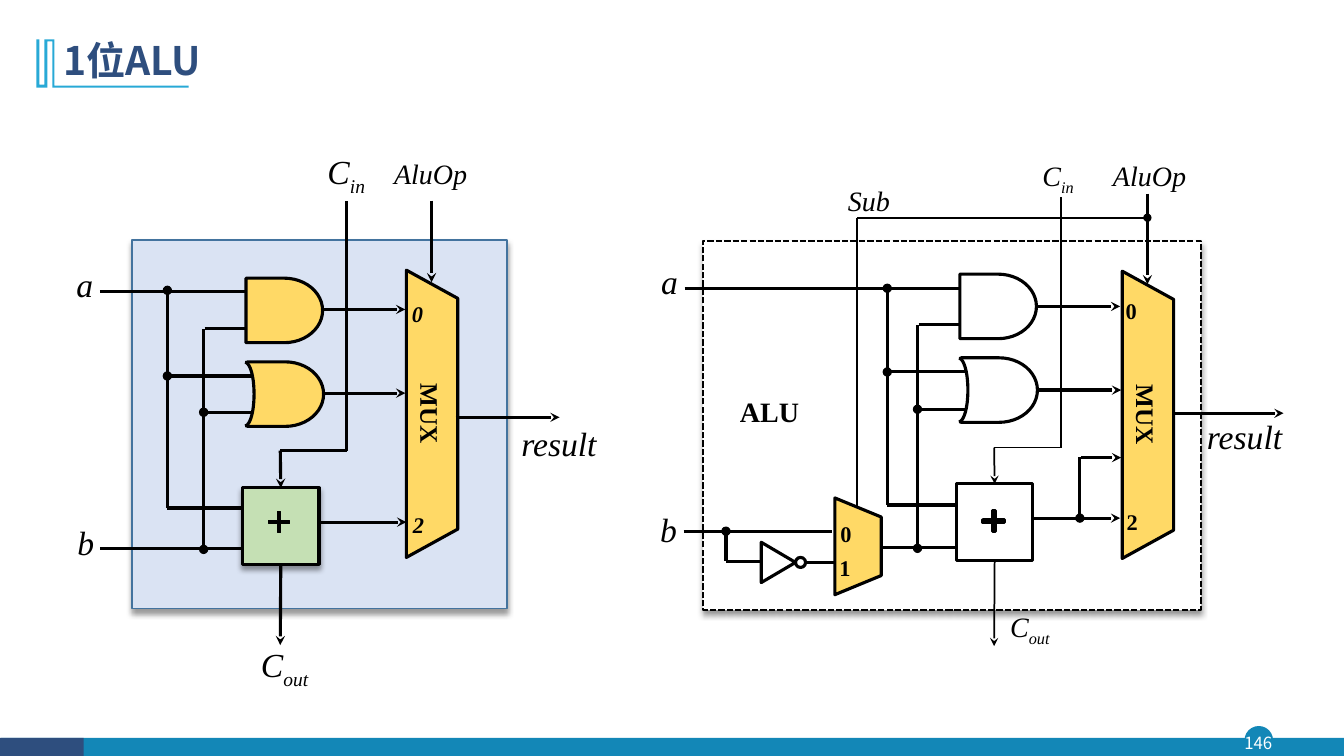
import math
import pptx
import pptx.dml.color
import pptx.enum.dml
import pptx.enum.shapes
import pptx.enum.text
import pptx.oxml.ns
import pptx.util
from lxml import etree
from pptx.util import Inches

COLORS = {
    "black": "000000", "white": "FFFFFF", "navy": "2E4E7E", "teal": "1387B7",
    "cyan": "28A9D6", "pale": "DAE3F3", "steel": "43739E", "gold": "FFD966",
    "green": "C5E0B4",
}
SERIF, SANS = "Times New Roman", "Noto Sans CJK SC"
KIND = pptx.enum.shapes.MSO_SHAPE
ALIGN = pptx.enum.text.PP_ALIGN
ANCHOR = pptx.enum.text.MSO_ANCHOR
qn = pptx.oxml.ns.qn


def paint(shape, fill, line, width, shadow=False):
    shape.shadow.inherit = False
    if fill:
        shape.fill.solid()
        shape.fill.fore_color.rgb = pptx.dml.color.RGBColor.from_string(COLORS[fill])
    else:
        shape.fill.background()
    if line:
        shape.line.color.rgb = pptx.dml.color.RGBColor.from_string(COLORS[line])
        shape.line.width = pptx.util.Pt(width)
    else:
        shape.line.fill.background()
    if shadow:
        effects = shape._element.spPr.find(qn("a:effectLst"))
        outer = etree.SubElement(effects, qn("a:outerShdw"), blurRad="50800",
                                 dist="38100", dir="5400000", algn="t", rotWithShape="0")
        tint = etree.SubElement(outer, qn("a:srgbClr"), val=COLORS["black"])
        etree.SubElement(tint, qn("a:alpha"), val="40000")


def write(box, text, size, color="black", face=SERIF, bold=False, italic=False,
          align=ALIGN.LEFT, subscript=""):
    para = box.text_frame.paragraphs[0]
    para.text = text
    para.alignment = align
    if subscript:
        para.add_run().text = subscript
    for span in para.runs:
        span.font.name = face
        span.font.size = pptx.util.Pt(size)
        span.font.bold = bold
        span.font.italic = italic
        span.font.color.rgb = pptx.dml.color.RGBColor.from_string(COLORS[color])
        etree.SubElement(span.font._element, qn("a:ea"), typeface=face)
    if subscript:
        para.runs[1].font._element.set("baseline", "-25000")
    return para


deck = pptx.Presentation()
deck.slide_width, deck.slide_height = Inches(13.33), Inches(7.5)
page = deck.slides.add_slide(deck.slide_layouts[5])
shapes = page.shapes

title = shapes.title
title.left, title.top, title.width, title.height = map(Inches, (0.53, 0.28, 11.5, 0.68))
title.text_frame.auto_size = pptx.enum.text.MSO_AUTO_SIZE.NONE
title.text_frame.vertical_anchor = ANCHOR.MIDDLE
write(title, "1位ALU", 28, "navy", SANS, bold=True).line_spacing = 0.9

for kind, bounds, fill, line in [
    (KIND.OVAL, (12.35, 7.21, 0.27, 0.27), "teal", "teal"),
    (KIND.RECTANGLE, (0.01, 7.32, 13.32, 0.19), "teal", None),
    (KIND.RECTANGLE, (0, 7.32, 0.83, 0.19), "navy", None),
]:
    paint(shapes.add_shape(kind, *map(Inches, bounds)), fill, line, 1)

number = shapes.add_textbox(*map(Inches, (12.32, 7.21, 0.32, 0.31)))
frame = number.text_frame
frame.margin_left = frame.margin_right = frame.margin_top = frame.margin_bottom = 0
frame.vertical_anchor = ANCHOR.MIDDLE
write(number, "146", 12, "white", SANS, align=ALIGN.CENTER)

left_panel = shapes.add_shape(KIND.RECTANGLE, *map(Inches, (1.31, 2.38, 3.72, 3.66)))
paint(left_panel, "pale", "steel", 1, shadow=True)
right_panel = shapes.add_shape(KIND.RECTANGLE, *map(Inches, (6.97, 2.39, 4.94, 3.66)))
paint(right_panel, "white", "black", 1.5, shadow=True)
right_panel.line.dash_style = pptx.enum.dml.MSO_LINE.SQUARE_DOT

for bounds, slant, text in [
    ((2.86, 3.85, 2.85, 0.51), 0.55, "MUX"),
    ((9.96, 3.86, 2.85, 0.51), 0.55, "MUX"),
    ((8.03, 5.19, 0.96, 0.46), 0.412, ""),
]:
    mux = shapes.add_shape(KIND.TRAPEZOID, *map(Inches, bounds))
    mux.adjustments[0] = slant
    mux.rotation = 90
    paint(mux, "gold", "black", 2.25)
    if text:
        mux.text_frame.vertical_anchor = ANCHOR.MIDDLE
        write(mux, text, 18, bold=True, align=ALIGN.CENTER)

outlines = [(
    [(0.54, 0.39), (0.54, 0.85), (1.87, 0.85), (1.87, 0.87), (0.52, 0.87), (0.52, 0.41),
     (0.47, 0.41), (0.47, 0.87), (0.36, 0.87), (0.36, 0.39), (0.39, 0.39), (0.39, 0.84),
     (0.44, 0.84), (0.44, 0.39)], True, "cyan", None, 1)]
adders = []
for x, y, gate_fill, back, adder_fill, plus, plus_width in [
    (2.44, 2.76, "gold", "pale", "green", (2.77, 5.18), 0.75),
    (9.52, 2.72, "white", "white", "white", (9.855, 5.17), 2.25),
]:
    for gate_x, gate_y in [(x, y), (x + 0.01, y + 0.83)]:
        gate = shapes.add_shape(KIND.FLOWCHART_DELAY, *map(Inches, (gate_x, gate_y, 0.76, 0.64)))
        paint(gate, gate_fill, "black", 2.25)
    adder = shapes.add_shape(KIND.RECTANGLE, *map(Inches, (x - 0.035, y + 2.08, 0.76, 0.76)))
    paint(adder, adder_fill, "black", 2.25, shadow=adder_fill == "green")
    adders.append(adder)
    curve = [(x - 0.01 + 0.09 * math.cos(angle), y + 1.15 + 0.315 * math.sin(angle))
             for angle in (math.radians(step) for step in range(-90, 91, 6))]
    outlines.append((curve, False, back, "black", 2.25))
    arm, half = 0.105, 0.015
    corners = []
    for ux, uy in [(0, -1), (1, 0), (0, 1), (-1, 0)]:
        for along, across in [(arm, -half), (arm, half), (half, half)]:
            corners.append((plus[0] + ux * along - uy * across,
                            plus[1] + uy * along + ux * across))
    outlines.append((corners, True, "black", "black", plus_width))

for points, closed, fill, line, width in outlines:
    points = [(Inches(px), Inches(py)) for px, py in points]
    builder = shapes.build_freeform(*points[0])
    builder.add_line_segments(points[1:], close=closed)
    paint(builder.convert_to_shape(), fill, line, width)

bubble = shapes.add_shape(KIND.OVAL, *map(Inches, (7.89, 5.53, 0.1, 0.1)))
paint(bubble, None, "black", 2.25)
inverter = shapes.add_shape(KIND.ISOSCELES_TRIANGLE, *map(Inches, (7.52, 5.41, 0.4, 0.34)))
inverter.rotation = 90
paint(inverter, "white", "black", 2.25)

left_adder, right_adder = adders
wires = [
    (2.25, None, None, [
        (2.03, 3.26, 2.45, 3.26), (0.99, 2.89, 2.45, 2.89), (2.78, 4.47, 3.44, 4.47),
        (1.66, 5.04, 2.4, 5.04), (0.99, 5.44, 2.4, 5.44), (3.44, 4.47, 3.44, 1.99),
        (9.11, 3.22, 9.53, 3.22), (6.79, 2.86, 9.53, 2.86), (8.8, 5.01, 9.49, 5.01),
        (6.78, 5.27, 8.25, 5.27), (8.74, 5.43, 9.49, 5.43), (7.99, 5.58, 8.27, 5.58),
        (7.2, 5.57, 7.56, 5.57)]),
    (2.25, None, "stealth", [
        (3.2, 3.07, 4.02, 3.07), (3.2, 3.9, 4.02, 3.9), (3.17, 5.18, 4.03, 5.18),
        (4.52, 4.14, 5.55, 4.14), (4.28, 1.99, 4.28, 2.8), (2.78, 4.47, left_adder, 0),
        (left_adder, 2, 2.78, 6.4), (10.28, 3.04, 11.11, 3.04), (10.29, 3.87, 11.12, 3.87),
        (10.26, 5.14, 11.11, 5.14), (10.72, 4.54, 11.12, 4.54), (11.65, 4.1, 12.73, 4.1),
        (11.38, 1.92, 11.38, 2.82)]),
    (2.25, "oval", None, [
        (1.66, 3.73, 2.49, 3.73), (2.02, 4.09, 2.51, 4.09), (1.66, 2.88, 1.66, 5.04),
        (2.02, 5.45, 2.02, 3.26), (8.8, 3.69, 9.57, 3.69), (9.1, 4.06, 9.59, 4.06),
        (8.8, 2.86, 8.8, 5.01), (9.1, 5.44, 9.1, 3.22), (7.2, 5.27, 7.2, 5.57),
        (10.71, 5.14, 10.71, 4.53)]),
    (1.25, None, None, [
        (9.86, 4.44, 10.52, 4.44), (10.52, 4.44, 10.52, 1.95), (8.5, 5.04, 8.5, 2.16)]),
    (1.25, None, "oval", [(8.5, 2.16, 11.38, 2.16)]),
    (1.25, None, "stealth", [(9.86, 4.44, right_adder, 0), (right_adder, 2, 9.86, 6.41)]),
]
for width, head, tail, runs in wires:
    for x1, y1, x2, y2 in runs:
        start = (0, 0) if x1 in adders else (Inches(x1), Inches(y1))
        finish = (0, 0) if x2 in adders else (Inches(x2), Inches(y2))
        wire = shapes.add_connector(pptx.enum.shapes.MSO_CONNECTOR.STRAIGHT, *start, *finish)
        if x1 in adders:
            wire.begin_connect(x1, y1)
        if x2 in adders:
            wire.end_connect(x2, y2)
        wire.line.color.rgb = pptx.dml.color.RGBColor.from_string(COLORS["black"])
        wire.line.width = pptx.util.Pt(width)
        for tag, end in [("a:headEnd", head), ("a:tailEnd", tail)]:
            if end:
                etree.SubElement(wire.line._get_or_add_ln(), qn(tag), type=end)
        etree.SubElement(wire._element.spPr, qn("a:effectLst"))

for text, subscript, size, bounds in [
    ("C", "in", 24, (3.15, 1.45, 0.6, 0.5)), ("C", "out", 24, (2.49, 6.34, 0.71, 0.5)),
    ("C", "in", 20, (10.24, 1.52, 0.54, 0.44)), ("C", "out", 20, (9.92, 6, 0.63, 0.44)),
    ("AluOp", "", 20, (3.81, 1.5, 0.93, 0.44)), ("AluOp", "", 20, (10.94, 1.52, 0.93, 0.44)),
    ("Sub", "", 20, (8.31, 1.77, 0.62, 0.44)),
    ("a", "", 24, (0.66, 2.57, 0.37, 0.5)), ("b", "", 24, (0.67, 5.13, 0.37, 0.5)),
    ("a", "", 24, (6.46, 2.54, 0.37, 0.5)), ("b", "", 24, (6.45, 5, 0.37, 0.5)),
]:
    label = shapes.add_textbox(*map(Inches, bounds))
    label.text_frame.word_wrap = False
    write(label, text, size, italic=True, subscript=subscript)

for text, size, bold, italic, align, bounds in [
    ("0", 16, True, True, ALIGN.CENTER, (4.04, 2.92, 0.2, 0.32)),
    ("2", 16, True, True, ALIGN.CENTER, (4.05, 5.02, 0.2, 0.32)),
    ("0", 16, True, False, ALIGN.CENTER, (11.12, 2.89, 0.2, 0.32)),
    ("2", 16, True, False, ALIGN.CENTER, (11.13, 4.99, 0.2, 0.32)),
    ("0", 16, True, False, ALIGN.CENTER, (8.29, 5.11, 0.2, 0.32)),
    ("1", 16, True, False, ALIGN.CENTER, (8.28, 5.44, 0.2, 0.32)),
    ("result", 24, False, True, ALIGN.LEFT, (5.17, 4.12, 1.45, 0.48)),
    ("result", 24, False, True, ALIGN.LEFT, (11.97, 4.05, 0.89, 0.48)),
]:
    label = shapes.add_textbox(*map(Inches, bounds))
    frame = label.text_frame
    frame.margin_left = frame.margin_right = frame.margin_top = frame.margin_bottom = 0
    frame.word_wrap = True
    write(label, text, size, bold=bold, italic=italic, align=align).line_spacing = 1.2

alu = shapes.add_shape(KIND.RECTANGLE, *map(Inches, (7.24, 3.86, 0.8, 0.44)))
paint(alu, None, "white", 2.25)
alu.text_frame.word_wrap = False
alu.text_frame.vertical_anchor = ANCHOR.TOP
write(alu, "ALU", 20, bold=True)

deck.save("out.pptx")
